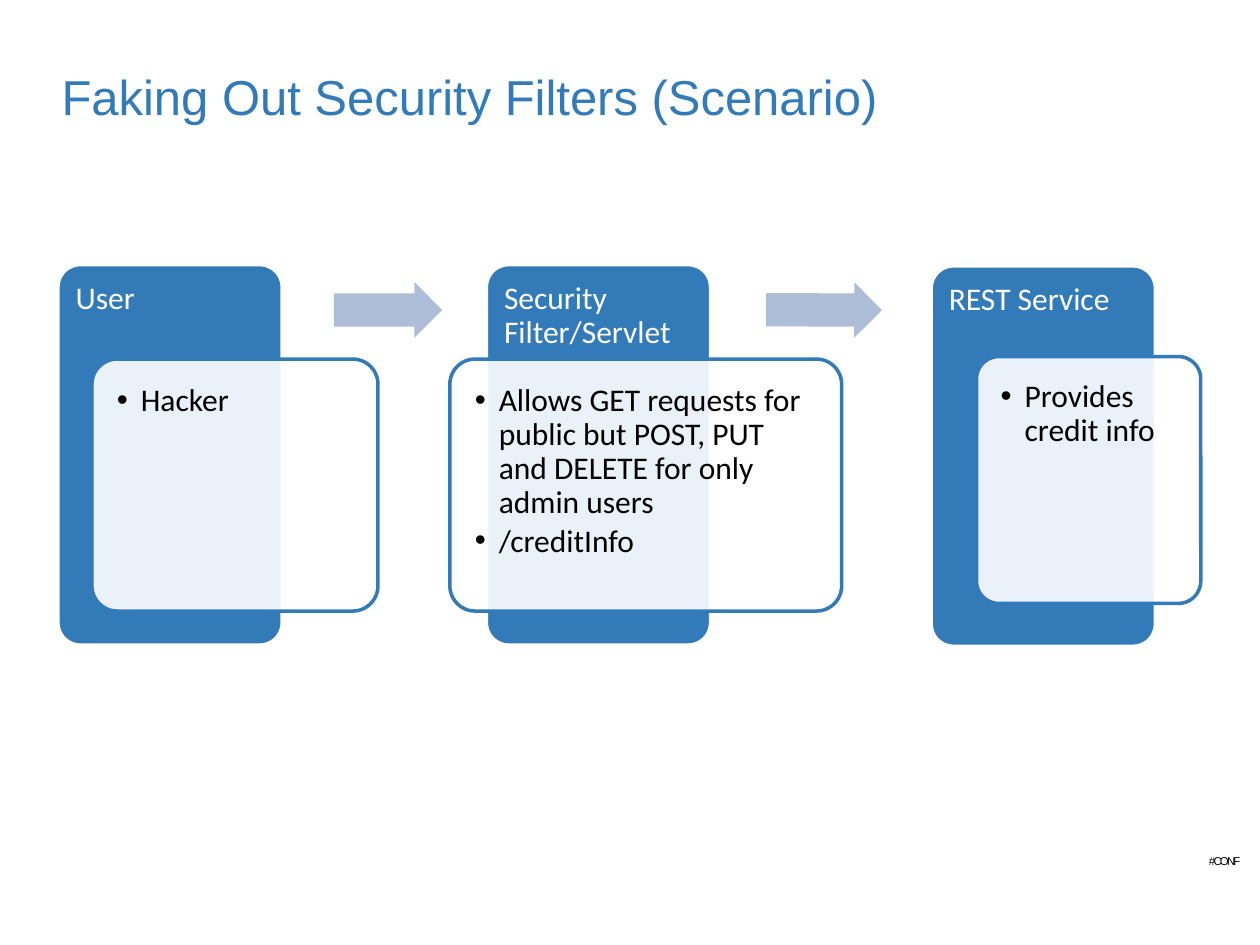
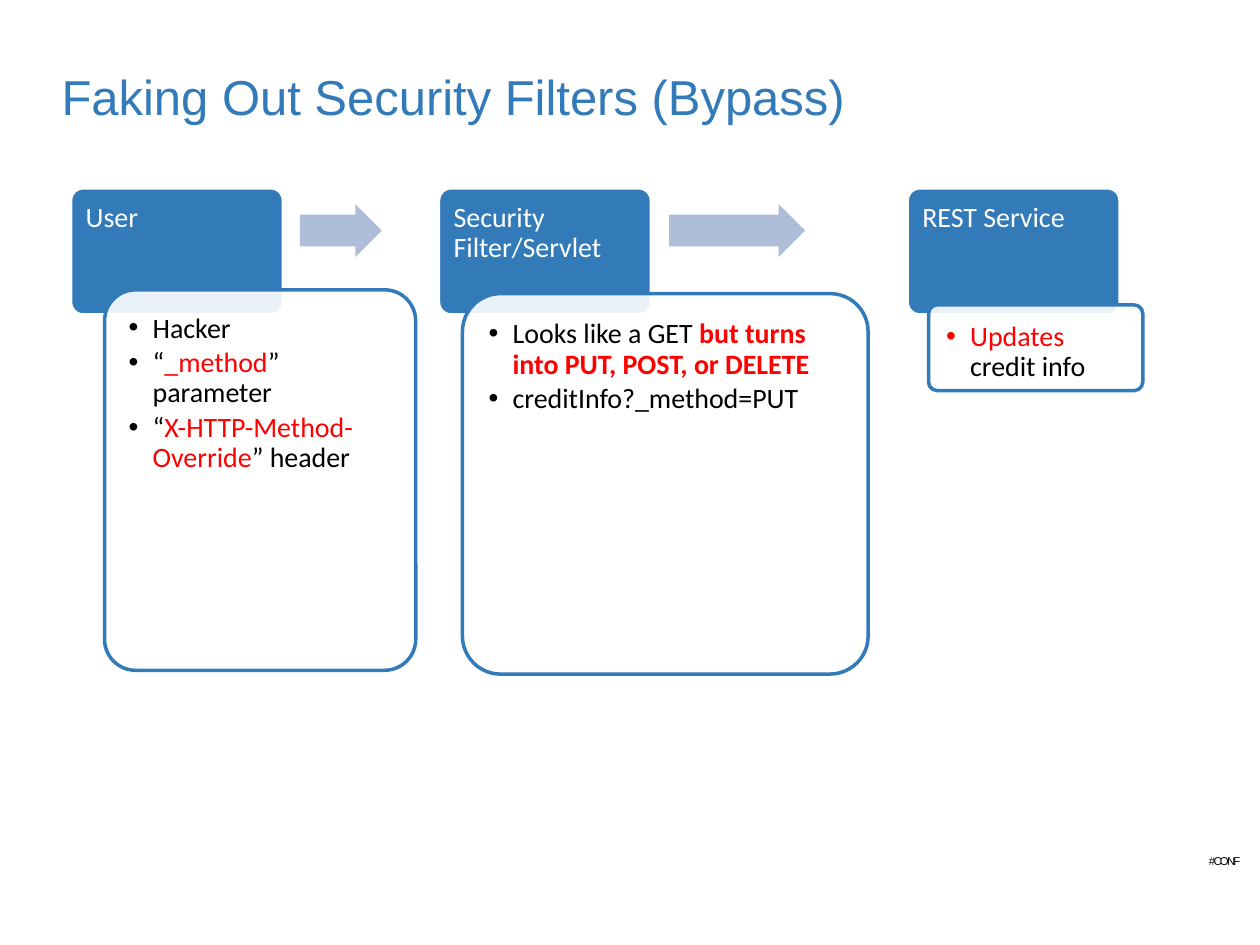
from lxml import etree
from pptx import Presentation
from pptx.dml.color import RGBColor
from pptx.enum.shapes import MSO_SHAPE
from pptx.enum.text import MSO_ANCHOR, PP_ALIGN
from pptx.oxml.ns import qn
from pptx.util import Inches, Pt

ROUND, ARROW = MSO_SHAPE.ROUNDED_RECTANGLE, MSO_SHAPE.RIGHT_ARROW
TOP, MIDDLE = MSO_ANCHOR.TOP, MSO_ANCHOR.MIDDLE
LEFT, CENTER = PP_ALIGN.LEFT, PP_ALIGN.CENTER

COLORS = {"blue": "337AB9", "pale": "AEBED9", "white": "FFFFFF",
          "black": "000000", "red": "FF0000"}
CORNER = 0.1
INDENT = Inches(0.19)

HEADS = ["User", "Security Filter/Servlet", "REST Service"]

# A bullet is a list of runs: (text, colour, bold).
SLIDES = [
    {
        "title": "Faking Out Security Filters (Scenario)",
        "size": 18, "pad": 0.14,
        "heads": [(0.46, 2.1, 1.78, 3.02), (3.86, 2.1, 1.78, 3.02),
                  (7.39, 2.11, 1.78, 3.02)],
        "panels": [(0.73, 2.85, 2.27, 2), (3.57, 2.85, 3.11, 2),
                   (7.75, 2.83, 1.78, 1.96)],
        "arrows": [(2.65, 2.24, 0.86, 0.44, 0), (6.08, 2.24, 0.92, 0.44, 0.2)],
        "bullets": [
            [[("Hacker", "black", False)]],
            [[("Allows GET requests for public but POST, PUT and DELETE "
               "for only admin users", "black", False)],
             [("/creditInfo", "black", False)]],
            [[("Provides credit info", "black", False)]],
        ],
    },
    {
        "title": "Faking Out Security Filters (Bypass)",
        "size": 16, "pad": 0.12,
        "heads": [(left, 1.49, 1.69, 1.01) for left in (0.56, 3.48, 7.2)],
        "panels": [(0.83, 2.3, 2.47, 3.02), (3.67, 2.33, 3.22, 3.02),
                   (7.37, 2.42, 1.7, 0.68)],
        "arrows": [(2.38, 1.62, 0.65, 0.42, 0), (5.31, 1.62, 1.08, 0.42, 0)],
        "bullets": [
            [[("Hacker", "black", False)],
             [("“", "black", False), ("_method", "red", False),
              ("” parameter", "black", False)],
             [("“", "black", False), ("X-HTTP-Method-Override", "red", False),
              ("” header", "black", False)]],
            [[("Looks like a GET ", "black", False),
              ("but turns into PUT, POST, or DELETE", "red", True)],
             [("creditInfo?_method=PUT", "black", False)]],
            [[("Updates", "red", False), (" credit info", "black", False)]],
        ],
    },
]


def assign(target, values):
    for name, value in values.items():
        setattr(target, name, value)


def rgb(name):
    return RGBColor.from_string(COLORS[name])


class Deck:
    """Holds the presentation, the current slide and its text style."""

    def __init__(self):
        self.prs = Presentation()
        assign(self.prs, {"slide_width": Inches(10), "slide_height": Inches(7.5)})

    def start(self, title, size, pad):
        self.slide = self.prs.slides.add_slide(self.prs.slide_layouts[6])
        self.size, self.pad = size, pad
        self.footer()
        self.title(title)

    def run(self, para, text, color, bold=False, font="Calibri", size=None):
        run = para.add_run()
        run.text = text
        assign(run.font, {"name": font, "size": Pt(size or self.size), "bold": bold})
        run.font.color.rgb = rgb(color)
        return run

    def frame(self, shape, pads, anchor=TOP, wrap=True):
        """Set up the text frame; pads are left, top, right, bottom."""
        sides = ("margin_left", "margin_top", "margin_right", "margin_bottom")
        frame = shape.text_frame
        assign(frame, {"word_wrap": wrap, "vertical_anchor": anchor})
        assign(frame, dict(zip(sides, map(Inches, pads))))
        return frame

    def label(self, box, pads, wrap=True):
        shape = self.slide.shapes.add_textbox(*map(Inches, box))
        return self.frame(shape, pads, MIDDLE, wrap).paragraphs[0]

    def title(self, text):
        para = self.label((0.39, 0.16, 9.22, 1.25), (0.1, 0.05, 0.1, 0.05))
        para.line_spacing = Pt(30)
        self.run(para, text, "blue", font="Arial", size=28)

    def footer(self):
        para = self.label((9.47, 6.78, 0.5, 0.11), (0, 0, 0, 0))
        para.alignment = CENTER
        run = self.run(para, "#CONF", "black", font="Arial", size=6.5)
        run.font._element.set("spc", "-100")

    def shape(self, kind, box, fill, line=None, adjust=(CORNER,)):
        shape = self.slide.shapes.add_shape(kind, *map(Inches, box))
        shape.shadow.inherit = False
        for index, value in enumerate(adjust):
            shape.adjustments[index] = value
        shape.fill.solid()
        shape.fill.fore_color.rgb = rgb(fill)
        if line:
            shape.line.color.rgb = rgb(line)
            shape.line.width = Pt(2)
        else:
            shape.line.fill.background()
        return shape

    def head(self, box, text):
        shape = self.shape(ROUND, box, "blue", "white")
        # The rounded corners already push the text inwards.
        pad = self.pad - 0.29 * CORNER * min(box[2:])
        para = self.frame(shape, [pad] * 4).paragraphs[0]
        assign(para, {"alignment": LEFT, "line_spacing": 0.9})
        self.run(para, text, "white")

    def panel(self, box, bullets):
        shape = self.shape(ROUND, box, "white", "blue")
        tint = shape.fill._xPr.find(".//" + qn("a:srgbClr"))
        etree.SubElement(tint, qn("a:alpha")).set("val", "90000")
        frame = self.frame(shape, [self.pad] * 4)
        for index, runs in enumerate(bullets):
            para = frame.add_paragraph() if index else frame.paragraphs[0]
            assign(para, {"alignment": LEFT, "line_spacing": 0.9,
                          "space_after": Pt(0.15 * self.size)})
            self.bullet(para)
            for text, color, bold in runs:
                self.run(para, text, color, bold)

    def bullet(self, para):
        props = para._p.get_or_add_pPr()
        props.set("marL", str(INDENT))
        props.set("indent", str(-INDENT))
        etree.SubElement(props, qn("a:buFont")).set("typeface", "Arial")
        etree.SubElement(props, qn("a:buChar")).set("char", "•")

    def arrow(self, *box, turn):
        self.shape(ARROW, box, "pale", adjust=(0.6, 0.5)).rotation = turn


def main():
    deck = Deck()
    for data in SLIDES:
        deck.start(data["title"], data["size"], data["pad"])
        for text, head, panel, bullets in zip(
                HEADS, data["heads"], data["panels"], data["bullets"]):
            deck.head(head, text)
            deck.panel(panel, bullets)
        for *box, turn in data["arrows"]:
            deck.arrow(*box, turn=turn)
    deck.prs.save("out.pptx")


if __name__ == "__main__":
    main()
